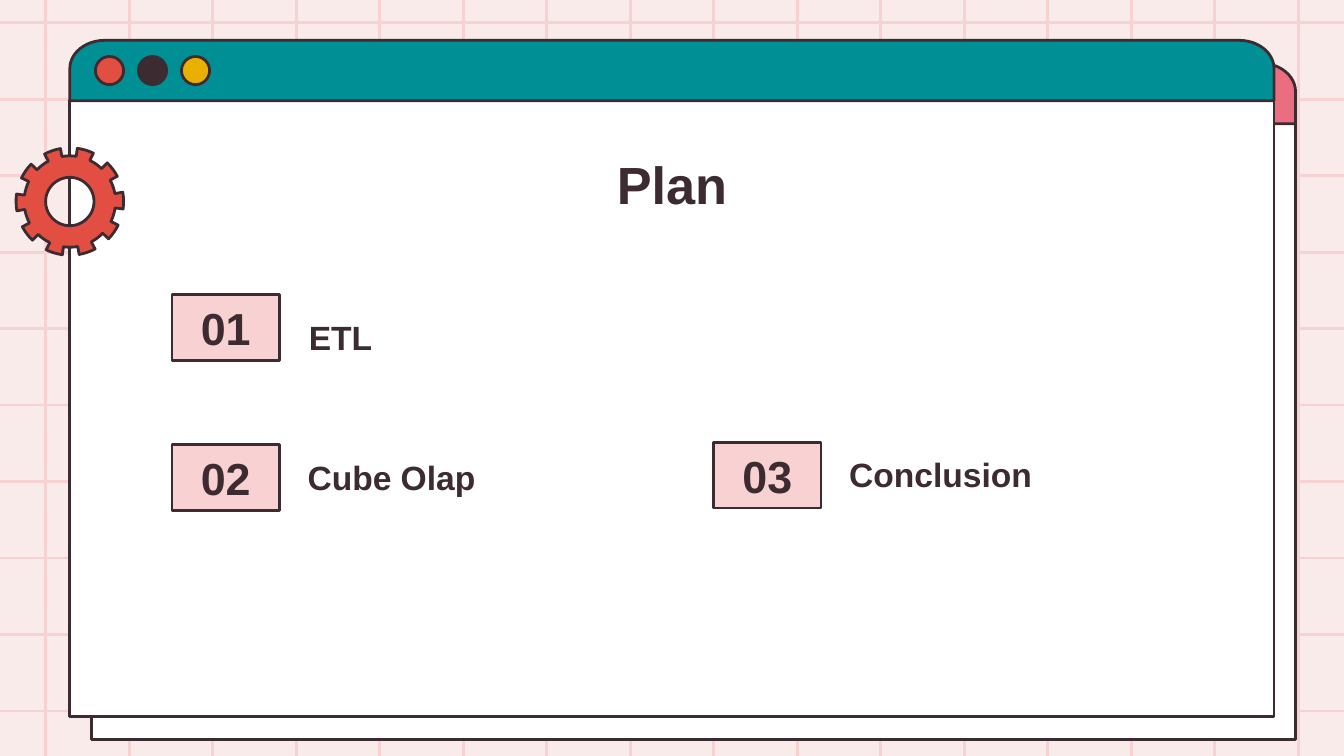
from math import cos, radians, sin

from lxml import etree
from pptx import Presentation
from pptx.dml.color import RGBColor
from pptx.enum.shapes import MSO_CONNECTOR, MSO_SHAPE
from pptx.enum.text import MSO_ANCHOR, PP_ALIGN
from pptx.oxml.ns import qn
from pptx.util import Inches, Pt

STRAIGHT = MSO_CONNECTOR.STRAIGHT
RECT, OVAL = MSO_SHAPE.RECTANGLE, MSO_SHAPE.OVAL
TOP, MIDDLE, BOTTOM = MSO_ANCHOR.TOP, MSO_ANCHOR.MIDDLE, MSO_ANCHOR.BOTTOM
LEFT, CENTER = PP_ALIGN.LEFT, PP_ALIGN.CENTER

CREAM = RGBColor(0xFA, 0xEB, 0xEB)
PINK = RGBColor(0xF8, 0xD2, 0xD2)
ROSE = RGBColor(0xEB, 0x6E, 0x80)
TEAL = RGBColor(0x00, 0x8F, 0x95)
RED = RGBColor(0xE2, 0x4E, 0x42)
YELLOW = RGBColor(0xE9, 0xB0, 0x00)
DARK = RGBColor(0x3C, 0x2C, 0x31)
WHITE = RGBColor(0xFF, 0xFF, 0xFF)

# Content
TITLE = "Plan"
ITEMS = [  # number, label, number box left and top, label left and top
    ("01", "ETL", (1.28, 2.19), (2.2, 1.94)),
    ("02", "Cube Olap", (1.28, 3.31), (2.19, 2.98)),
    ("03", "Conclusion", (5.31, 3.29), (6.22, 2.96)),
]
WINDOWS = [(0.68, 0.47, ROSE), (0.52, 0.3, TEAL)]  # left, top, bar colour
DOTS = [RED, DARK, YELLOW]

# Layout
SLIDE_W, SLIDE_H = 10, 5.625  # 16:9
GRID_X, COLUMNS = (0.34, 9.66), 16
GRID_Y, ROWS = (0.17, 5.29), 10
WINDOW_W, BAR_H, BODY_H = 8.96, 0.45, 4.58
CORNER_X, CORNER_Y = 0.26, 0.21
GEAR_X, GEAR_Y, TEETH = 0.52, 1.5, 10
TIP_R, ROOT_R, HOLE_R = 0.4, 0.34, 0.18

prs = Presentation()
prs.slide_width, prs.slide_height = Inches(SLIDE_W), Inches(SLIDE_H)
s = prs.slides.add_slide(prs.slide_layouts[6])
s.background.fill.solid()
s.background.fill.fore_color.rgb = CREAM


def spread(first, last, count):
    return [first + (last - first) * i / (count - 1) for i in range(count)]


def arc(cx, cy, rx, ry, start, end, count):
    return [(cx + rx * cos(radians(a)), cy + ry * sin(radians(a)))
            for a in spread(start, end, count)]


def add_grid_line(x1, y1, x2, y2):
    line = s.shapes.add_connector(STRAIGHT, *map(Inches, (x1, y1, x2, y2)))
    line.line.color.rgb = PINK
    line.line.width = Pt(1.5)
    etree.SubElement(line._element.spPr, qn("a:effectLst"))


def paint(sp, color):
    sp.shadow.inherit = False
    sp.fill.solid()
    sp.fill.fore_color.rgb = color
    sp.line.color.rgb = DARK
    sp.line.width = Pt(1.5)


def add_shape(kind, x, y, w, h, color):
    sp = s.shapes.add_shape(kind, *map(Inches, (x, y, w, h)))
    paint(sp, color)
    return sp


def add_outline(contours, color):
    points = [[(Inches(x), Inches(y)) for x, y in c] for c in contours]
    builder = s.shapes.build_freeform(*points[0][0], scale=1.0)
    builder.add_line_segments(points[0][1:], close=True)
    for contour in points[1:]:
        builder.move_to(*contour[0])
        builder.add_line_segments(contour[1:], close=True)
    paint(builder.convert_to_shape(), color)


def write(sp, text, size, align, anchor):
    tf = sp.text_frame
    tf.word_wrap = True
    tf.vertical_anchor = anchor
    tf.margin_left = tf.margin_right = Inches(0.1)
    tf.margin_top = tf.margin_bottom = Inches(0.1)
    p = tf.paragraphs[0]
    p.alignment = align
    r = p.add_run()
    r.text = text
    r.font.name, r.font.size, r.font.bold = "Arial", Pt(size), True
    r.font.color.rgb = DARK


def add_text(x, y, w, h, *text_args):
    write(s.shapes.add_textbox(*map(Inches, (x, y, w, h))), *text_args)


# Background grid
for x in spread(*GRID_X, COLUMNS):
    add_grid_line(x, 0, x, SLIDE_H)
for y in spread(*GRID_Y, ROWS):
    add_grid_line(0, y, SLIDE_W, y)

# Browser windows, back to front
for x, y, color in WINDOWS:
    right, bottom = x + WINDOW_W, y + BAR_H
    add_shape(RECT, x, bottom, WINDOW_W, BODY_H, WHITE)
    bar = [(x, bottom)]
    bar += arc(x + CORNER_X, y + CORNER_Y, CORNER_X, CORNER_Y, 180, 270, 13)
    bar += arc(right - CORNER_X, y + CORNER_Y, CORNER_X, CORNER_Y, 270, 360, 13)
    add_outline([bar + [(right, bottom)]], color)
    for i, dot in enumerate(DOTS):
        add_shape(OVAL, x + 0.19 + 0.32 * i, y + 0.12, 0.21, 0.21, dot)

# Title
add_text(0.98, 1.03, 8.04, 0.63, TITLE, 28, CENTER, TOP)

# Gear: teeth and gaps alternate, with a round hole
step = 360 / TEETH
rim = []
for i in range(TEETH):
    a = i * step - 1
    rim += arc(GEAR_X, GEAR_Y, TIP_R, TIP_R, a - step / 4, a + step / 4, 5)
    rim += arc(GEAR_X, GEAR_Y, ROOT_R, ROOT_R, a + step / 4, a + step * 3 / 4, 5)
hole = arc(GEAR_X, GEAR_Y, HOLE_R, HOLE_R, 360, 0, 61)
add_outline([rim, hole], RED)

# Numbered items
for number, label, box_at, label_at in ITEMS:
    box = add_shape(RECT, *box_at, 0.8, 0.49, PINK)
    write(box, number, 24, CENTER, MIDDLE)
    add_text(*label_at, 2.6, 0.82, label, 18, LEFT, BOTTOM)

prs.save("out.pptx")
